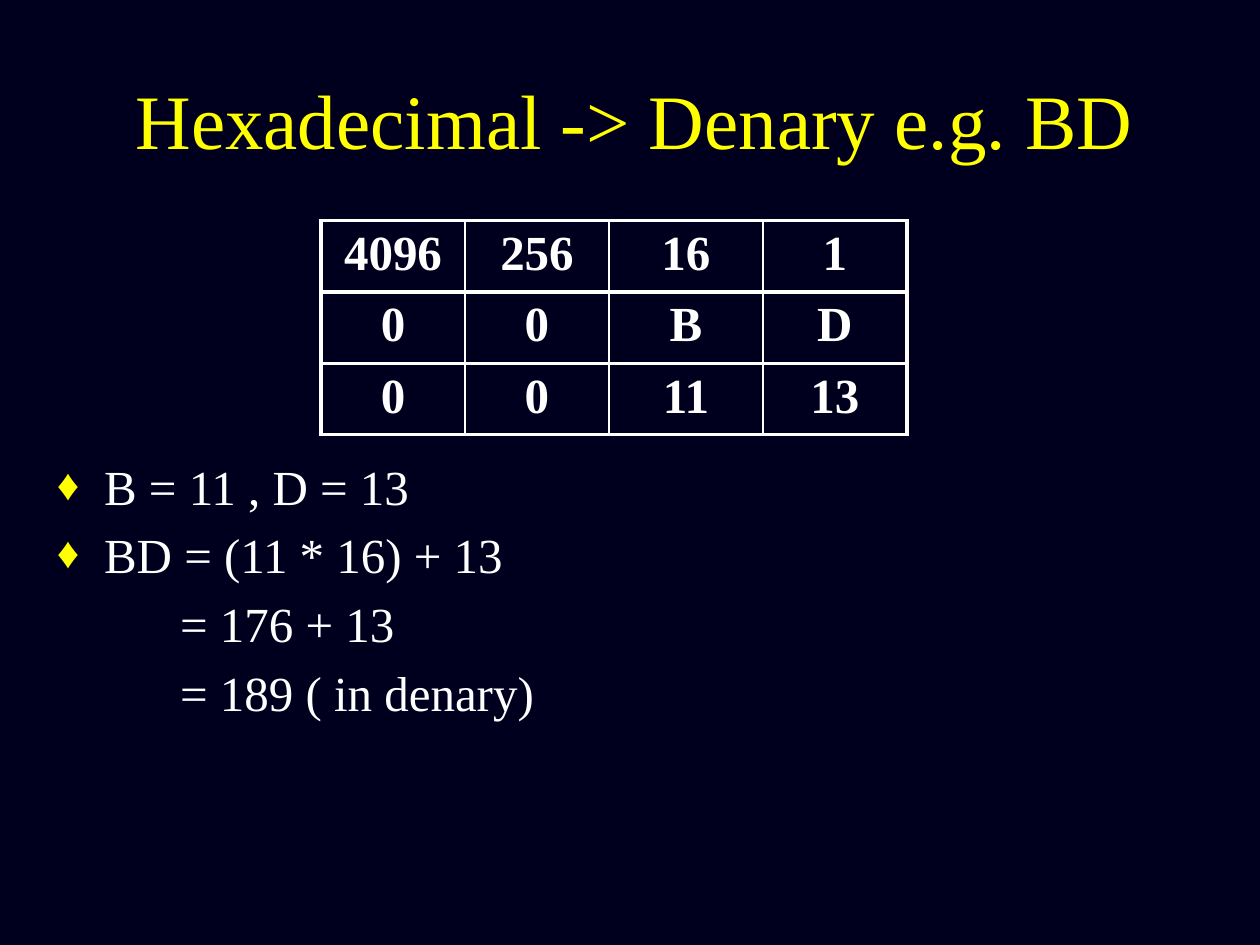
from lxml.etree import SubElement
from pptx import Presentation
from pptx.dml.color import RGBColor as RGB
from pptx.enum.text import MSO_ANCHOR as ANCHOR, MSO_AUTO_SIZE as AUTO, PP_ALIGN as ALIGN
from pptx.oxml.ns import qn
from pptx.util import Pt

COLORS = {"back": "00001E", "accent": "FFFF00", "text": "FFFFFF"}
FONT = "Times New Roman"
THICK, THIN = 2.25, 1

PLACE_VALUES = [
    ["4096", "256", "16", "1"],
    ["0", "0", "B", "D"],
    ["0", "0", "11", "13"],
]
# Each line of the working, with whether it has a bullet
WORKING = [
    ("B = 11 , D = 13", True),
    ("BD = (11 * 16) + 13", True),
    ("= 176 + 13", False),
    ("= 189 ( in denary)", False),
]


def add(parent, tag, **attrs):
    return SubElement(parent, qn(tag), attrs)


def add_color(parent, color):
    add(add(parent, "a:solidFill"), "a:srgbClr", val=COLORS[color])


def place(shape, box):
    shape.left, shape.top, shape.width, shape.height = (Pt(v) for v in box)


def style(p, size, color, bold=False):
    for r in p.runs:
        r.font.name, r.font.size, r.font.bold = FONT, Pt(size), bold
        r.font.color.rgb = RGB.from_string(COLORS[color])


def fill_title(s, box):
    title = s.shapes.title
    place(title, box)
    tf = title.text_frame
    tf.text = "Hexadecimal -> Denary e.g. BD"
    tf.auto_size = AUTO.NONE
    tf.vertical_anchor = ANCHOR.MIDDLE
    tf.paragraphs[0].alignment = ALIGN.CENTER
    style(tf.paragraphs[0], 44, "accent")


def set_bullet(p, bulleted):
    pPr = p._p.get_or_add_pPr()
    hang = Pt(27)
    if bulleted:
        pPr.set("marL", str(hang))
        pPr.set("indent", str(-hang))
        add(add(pPr, "a:buClr"), "a:srgbClr", val=COLORS["accent"])
        add(pPr, "a:buSzPct", val="90000")
        add(pPr, "a:buFont", typeface=FONT)
        add(pPr, "a:buChar", char="♦")
    else:
        # Continuation lines start under the right-hand side of the sum
        pPr.set("marL", str(Pt(70.5)))
        pPr.set("indent", "0")
        add(pPr, "a:buNone")


def fill_working(s, box):
    body = s.placeholders[1]
    place(body, box)
    tf = body.text_frame
    tf.text = "\n".join(line for line, _ in WORKING)
    tf.auto_size = AUTO.NONE
    for p, (_, bulleted) in zip(tf.paragraphs, WORKING):
        set_bullet(p, bulleted)
        style(p, 28, "text")


def set_borders(cell, widths):
    tcPr = cell._tc.get_or_add_tcPr()
    for side, width in zip("LRTB", widths):
        add_color(add(tcPr, f"a:ln{side}", w=str(Pt(width))), "text")


def add_place_table(s, box):
    rows, cols = len(PLACE_VALUES), len(PLACE_VALUES[0])
    table = s.shapes.add_table(rows, cols, *(Pt(v) for v in box)).table
    table.first_row = table.horz_banding = False
    wide = 88  # the sixteens column; the others share the rest
    narrow = (box[2] - wide) / (cols - 1)
    for c, col in enumerate(table.columns):
        col.width = Pt(wide if c == 2 else narrow)
    for r, values in enumerate(PLACE_VALUES):
        table.rows[r].height = Pt(box[3] / rows)
        for c, value in enumerate(values):
            cell = table.cell(r, c)
            cell.text = value
            p = cell.text_frame.paragraphs[0]
            p.alignment = ALIGN.CENTER
            add(add(p._p.get_or_add_pPr(), "a:spcBef"), "a:spcPct", val="20000")
            style(p, 28, "text", bold=True)
            # Thick outer frame and row lines, thin column lines
            set_borders(cell, (THICK if c == 0 else THIN,
                               THICK if c == cols - 1 else THIN, THICK, THICK))
            cell.fill.background()


def main():
    prs = Presentation()
    prs.slide_width, prs.slide_height = Pt(720), Pt(540)
    s = prs.slides.add_slide(prs.slide_layouts[1])
    s.background.fill.solid()
    s.background.fill.fore_color.rgb = RGB.from_string(COLORS["back"])

    fill_title(s, (48, 20.25, 629.25, 95))
    fill_working(s, (25.25, 257, 664, 223))
    add_place_table(s, (183.5, 126, 334.75, 122.4))
    prs.save("out.pptx")


if __name__ == "__main__":
    main()
